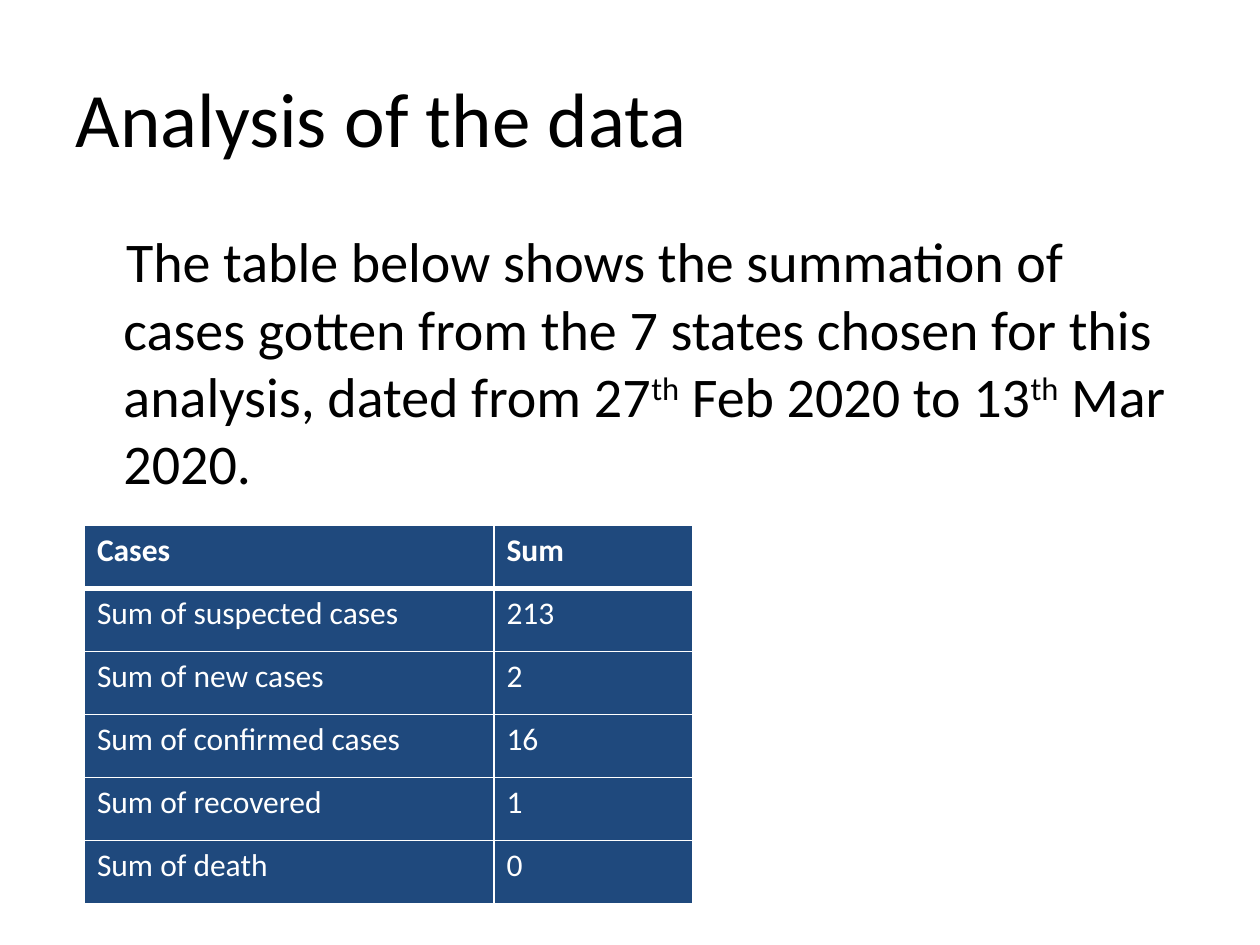
from pptx import Presentation
from pptx.dml.color import RGBColor
from pptx.enum.text import PP_ALIGN
from pptx.oxml.ns import qn
from pptx.util import Inches, Pt
from lxml.etree import SubElement

FONT = "Calibri"
BLACK, WHITE, NAVY = "000000", "FFFFFF", "1F497D"
CASE_ROWS = [
    ("Cases", "Sum"),
    ("Sum of suspected cases", "213"),
    ("Sum of new cases", "2"),
    ("Sum of confirmed cases", "16"),
    ("Sum of recovered", "1"),
    ("Sum of death", "0"),
]
# Text with its baseline shift in thousandths of a percent
SUMMARY = [
    ("The table below shows the summation of cases gotten from the 7 states "
     "chosen for this analysis, dated from 27", 0),
    ("th", 30000),
    (" Feb 2020 to 13", 0),
    ("th", 30000),
    (" Mar 2020.", 0),
]


def color(hex_value):
    return RGBColor.from_string(hex_value)


def style(para, size, hex_value, bold=False):
    para.font.name = FONT
    para.font.size = Pt(size)
    para.font.bold = bold
    para.font.color.rgb = color(hex_value)


def place(shape, left, top, width, height):
    shape.left, shape.top = Inches(left), Inches(top)
    shape.width, shape.height = Inches(width), Inches(height)


def add_title(page, left, top, width, height):
    title = page.shapes.title
    place(title, left, top, width, height)
    title.text_frame.text = "Analysis of the data"
    para = title.text_frame.paragraphs[0]
    para.alignment = PP_ALIGN.LEFT
    style(para, 44, BLACK)


def add_summary(page, left, top, width, height):
    body = page.placeholders[1]
    place(body, left, top, width, height)
    para = body.text_frame.paragraphs[0]
    style(para, 32, BLACK)
    properties = para._p.get_or_add_pPr()
    properties.set("marL", str(Inches(0.38)))
    properties.set("indent", str(Inches(0.02)))
    properties.insert(0, properties.makeelement(qn("a:buNone"), {}))
    for text, baseline in SUMMARY:
        span = para.add_run()
        span.text = text
        if baseline:
            span.font._element.set("baseline", str(baseline))


def set_borders(cell, top, bottom):
    """Draw white cell borders; top and bottom widths are in points."""
    properties = cell._tc.get_or_add_tcPr()
    for side, width in (("L", 1), ("R", 1), ("T", top), ("B", bottom)):
        line = SubElement(properties, qn(f"a:ln{side}"), w=str(Pt(width)))
        fill = SubElement(line, qn("a:solidFill"))
        SubElement(fill, qn("a:srgbClr"), val=WHITE)


def add_cases_table(page, left, top, width, height):
    frame = page.shapes.add_table(
        len(CASE_ROWS), 2, Inches(left), Inches(top), Inches(width), Inches(height))
    table = frame.table
    label_width = 3.25
    table.columns[0].width = Inches(label_width)
    table.columns[1].width = Inches(width - label_width)
    for row, values in enumerate(CASE_ROWS):
        for column, value in enumerate(values):
            cell = table.cell(row, column)
            cell.text = value
            style(cell.text_frame.paragraphs[0], 18, WHITE, bold=row == 0)
            set_borders(cell, top=3 if row == 1 else 1, bottom=3 if row == 0 else 1)
            cell.fill.solid()
            cell.fill.fore_color.rgb = color(NAVY)


def main():
    deck = Presentation()
    deck.slide_width, deck.slide_height = Inches(10), Inches(7.5)
    page = deck.slides.add_slide(deck.slide_layouts[1])
    add_title(page, 0.5, 0.3, 9, 1.25)
    add_summary(page, 0.5, 1.75, 9, 4.95)
    add_cases_table(page, 0.67, 4.17, 4.83, 3)
    deck.save("out.pptx")


if __name__ == "__main__":
    main()
